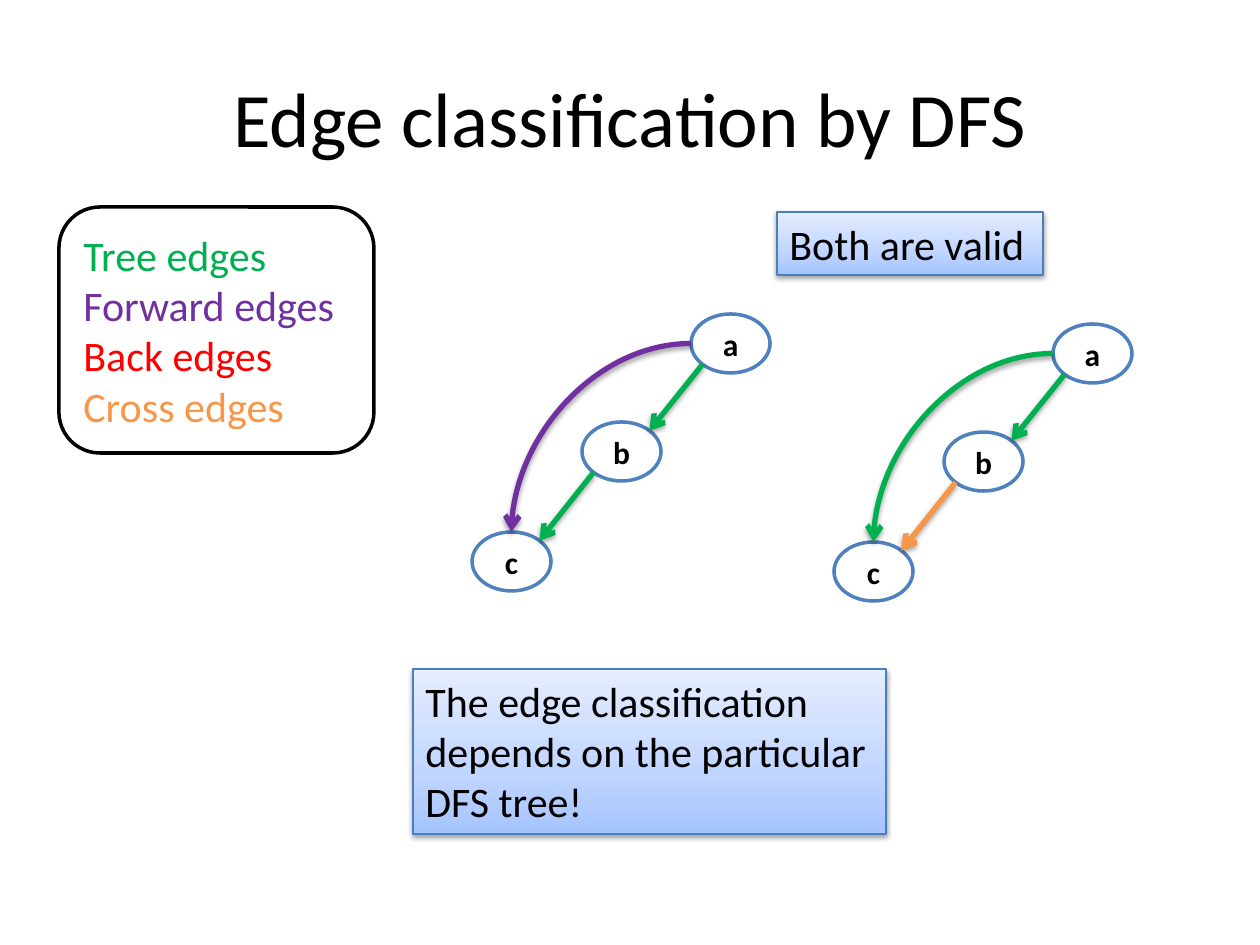
from copy import deepcopy
from math import sqrt

from lxml.etree import SubElement
from pptx import Presentation
from pptx.dml.color import RGBColor
from pptx.enum.shapes import MSO_CONNECTOR, MSO_SHAPE
from pptx.enum.text import MSO_ANCHOR, PP_ALIGN
from pptx.oxml.ns import qn
from pptx.util import Pt

PX = 914400 / 126

BLACK = RGBColor(0x00, 0x00, 0x00)
WHITE = RGBColor(0xFF, 0xFF, 0xFF)
NODE_BLUE = RGBColor(0x4F, 0x81, 0xBD)
NOTE_BORDER = RGBColor(0x4B, 0x7E, 0xBC)
NOTE_STOPS = [
    (0, RGBColor(0xA4, 0xC4, 0xFF)),
    (0.35, RGBColor(0xBF, 0xD4, 0xFF)),
    (1, RGBColor(0xE6, 0xEE, 0xFF)),
]
TREE = RGBColor(0x00, 0xB0, 0x50)
FORWARD = RGBColor(0x70, 0x30, 0xA0)
BACK = RGBColor(0xFF, 0x00, 0x00)
CROSS = RGBColor(0xF7, 0x96, 0x46)

NODE_WIDTH, NODE_HEIGHT = 79, 59
NODE_PLACES = {"a": (691, 314), "b": (582, 422), "c": (472, 532)}


def px(*lengths):
    return [round(length * PX) for length in lengths]


def write(shape, lines, size, anchor, align=PP_ALIGN.LEFT, bold=False):
    """Fill a shape with one paragraph per (text, color) pair."""
    frame = shape.text_frame
    frame.word_wrap = True
    frame.vertical_anchor = anchor
    for index, (text, color) in enumerate(lines):
        paragraph = frame.add_paragraph() if index else frame.paragraphs[0]
        paragraph.text = text
        paragraph.alignment = align
        font_values = {"name": "Calibri", "size": Pt(size), "bold": bold}
        for name, value in font_values.items():
            setattr(paragraph.font, name, value)
        paragraph.font.color.rgb = color


def add_shadow(effects):
    shadow = SubElement(effects, qn("a:outerShdw"), blurRad="40000",
                        dist="20000", dir="5400000", rotWithShape="0")
    color = SubElement(shadow, qn("a:srgbClr"), val=str(BLACK))
    SubElement(color, qn("a:alpha"), val="38000")


def add_outlined(slide, kind, box, line_color, line_width):
    shape = slide.shapes.add_shape(kind, *px(*box))
    shape.shadow.inherit = False
    shape.fill.solid()
    shape.fill.fore_color.rgb = WHITE
    shape.line.color.rgb = line_color
    shape.line.width = Pt(line_width)
    return shape


def add_note(slide, box, text):
    """Rectangle with a blue gradient and a soft shadow."""
    shape = add_outlined(slide, MSO_SHAPE.RECTANGLE, box, NOTE_BORDER, 0.75)
    shape.fill.gradient()
    shape.fill.gradient_angle = 90
    stop_list = shape._element.spPr.find(".//" + qn("a:gsLst"))
    stop_list.append(deepcopy(stop_list[-1]))
    for stop, (position, color) in zip(shape.fill.gradient_stops, NOTE_STOPS):
        stop.position = position
        stop.color.rgb = color
    add_shadow(shape._element.spPr.find(qn("a:effectLst")))
    write(shape, [(text, BLACK)], 24, MSO_ANCHOR.TOP)


def add_node(slide, label, left, top):
    box = (left, top, NODE_WIDTH, NODE_HEIGHT)
    node = add_outlined(slide, MSO_SHAPE.OVAL, box, NODE_BLUE, 2)
    write(node, [(label, BLACK)], 18, MSO_ANCHOR.MIDDLE, PP_ALIGN.CENTER, True)
    return node


def rim_point(node, across, down):
    """Point on a node's rim; a diagonal direction gives a corner point."""
    reach = 0.5 / sqrt(across ** 2 + down ** 2)
    return (round(node.left + node.width * (0.5 + across * reach)),
            round(node.top + node.height * (0.5 + down * reach)))


def add_edge(slide, kind, start, end, color):
    edge = slide.shapes.add_connector(kind, *start, *end)
    edge.line.color.rgb = color
    edge.line.width = Pt(3)
    SubElement(edge.line._get_or_add_ln(), qn("a:tailEnd"), type="arrow")
    add_shadow(SubElement(edge._element.spPr, qn("a:effectLst")))
    return edge


def add_straight_edge(slide, source, target, color):
    add_edge(slide, MSO_CONNECTOR.STRAIGHT, rim_point(source, -1, 1),
             rim_point(target, 1, -1), color)


def add_curved_edge(slide, source, target, color):
    start, end = rim_point(source, -1, 0), rim_point(target, 0, -1)
    edge = add_edge(slide, MSO_CONNECTOR.CURVE, start, end, color)
    edge._element.spPr.find(qn("a:prstGeom")).set("prst", "curvedConnector2")
    # Site 2 of an ellipse is its left side, so the start is set again
    edge.begin_connect(source, 2)
    edge.end_connect(target, 0)
    edge.begin_x, edge.begin_y = start


def add_graph(slide, shift_x, shift_y, curve_color, lower_color):
    a, b, c = [add_node(slide, label, left + shift_x, top + shift_y)
               for label, (left, top) in NODE_PLACES.items()]
    add_straight_edge(slide, a, b, TREE)
    add_straight_edge(slide, b, c, lower_color)
    add_curved_edge(slide, a, c, curve_color)


def main():
    presentation = Presentation()
    presentation.slide_width, presentation.slide_height = px(1260, 945)
    slide = presentation.slides.add_slide(presentation.slide_layouts[6])

    # Title
    title = slide.shapes.add_textbox(*px(63, 38, 1134, 158))
    write(title, [("Edge classification by DFS", BLACK)], 44,
          MSO_ANCHOR.MIDDLE, PP_ALIGN.CENTER)

    # Legend
    legend = add_outlined(slide, MSO_SHAPE.ROUNDED_RECTANGLE,
                          (59, 207, 315, 246), BLACK, 2)
    write(legend, [("Tree edges", TREE), ("Forward edges", FORWARD),
                   ("Back edges", BACK), ("Cross edges", CROSS)],
          24, MSO_ANCHOR.MIDDLE)

    # The two classifications of one graph
    add_graph(slide, 0, 0, FORWARD, TREE)
    add_graph(slide, 362, 10, TREE, CROSS)

    # Notes
    add_note(slide, (777, 212, 266, 63), "Both are valid")
    add_note(slide, (413, 669, 473, 165),
             "The edge classification depends on the particular DFS tree!")

    presentation.save("out.pptx")


if __name__ == "__main__":
    main()
